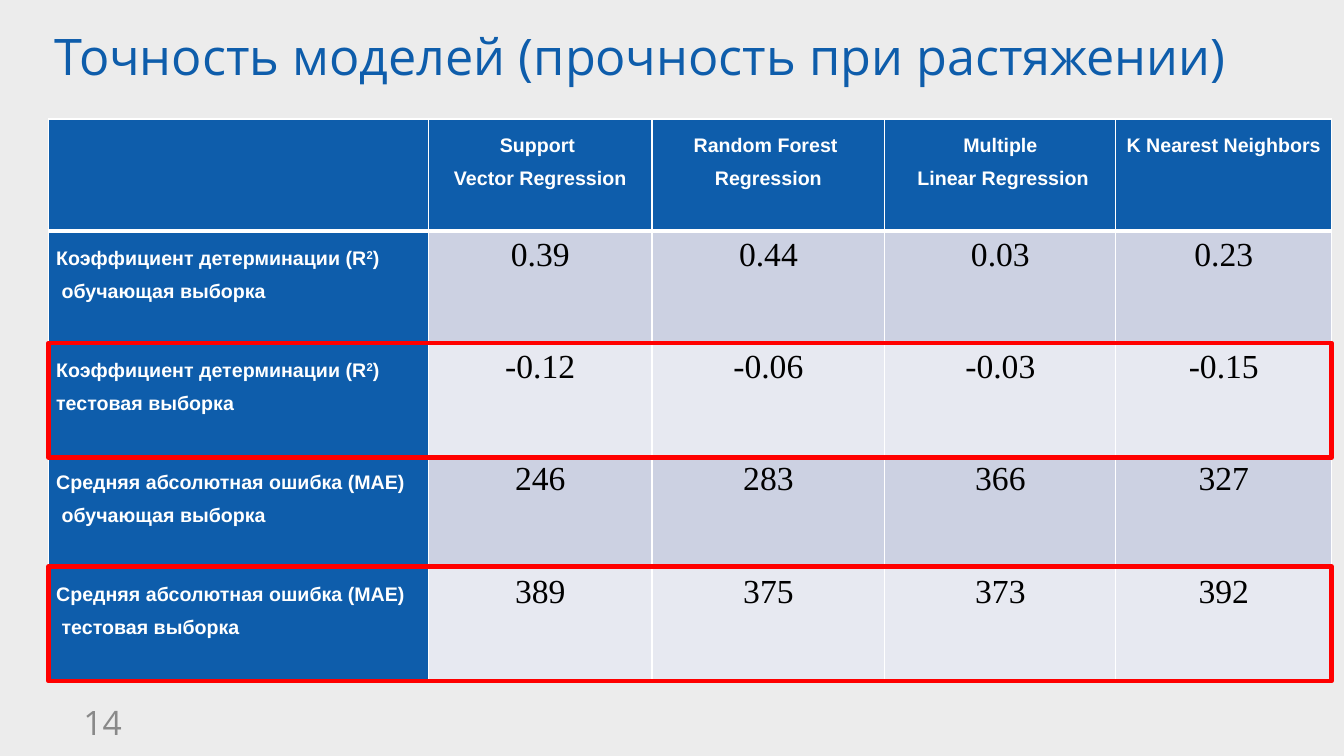
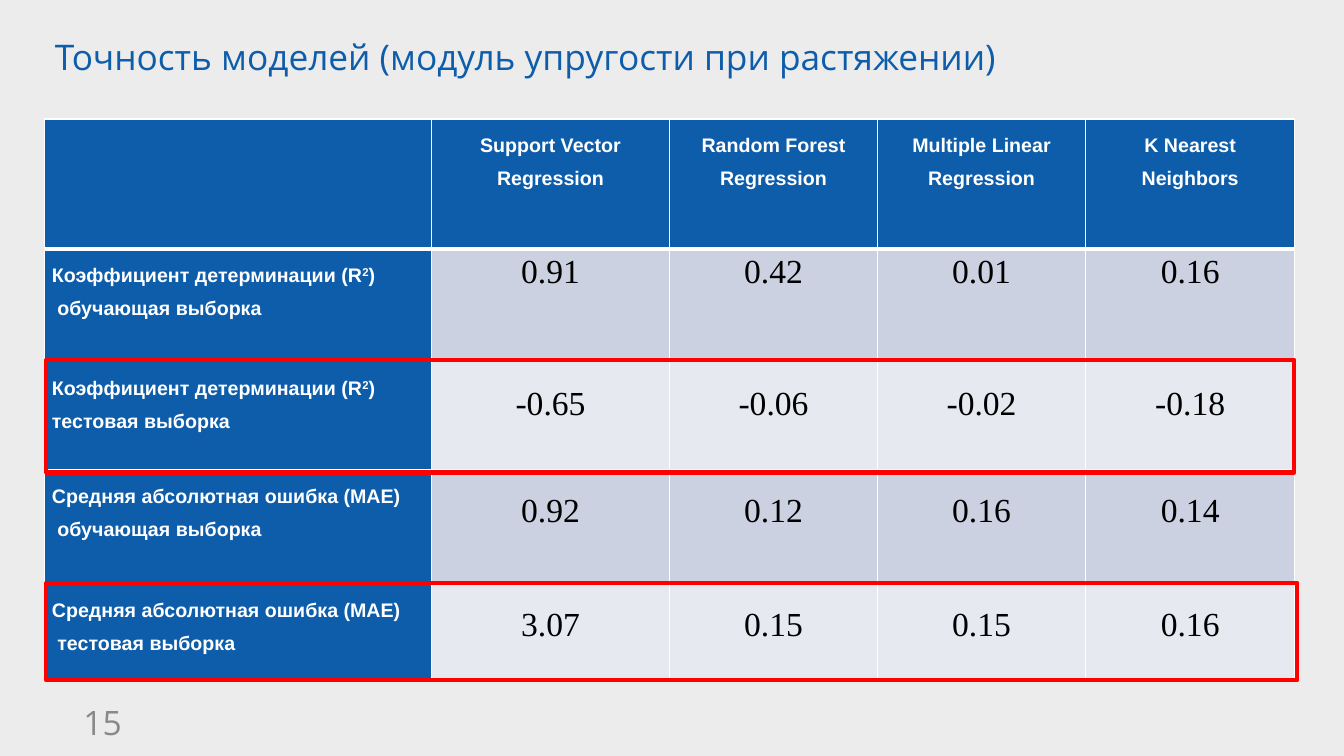
from dataclasses import dataclass

import pptx
import pptx.dml.color
import pptx.enum.shapes
import pptx.enum.text
import pptx.oxml
import pptx.oxml.ns
import pptx.slide
import pptx.table
import pptx.text.text
import pptx.util

Pt = pptx.util.Pt
Align = pptx.enum.text.PP_ALIGN
Anchor = pptx.enum.text.MSO_ANCHOR


@dataclass(frozen=True)
class Theme:
    background: str = "ECECEC"
    blue: str = "0E5DAB"
    page_grey: str = "898989"
    white: str = "FFFFFF"
    black: str = "000000"
    red: str = "FF0000"
    bands: tuple[str, str] = ("CCD1E2", "E7E9F1")
    title_font: str = "Open Sans"
    label_font: str = "Arial"
    value_font: str = "Times New Roman"
    page_size: float = 24
    label_size: float = 14
    value_size: float = 24
    thin_rule: float = 0.96
    thick_rule: float = 3


@dataclass(frozen=True)
class Box:
    left: float
    top: float
    width: float
    height: float

    def lengths(self) -> tuple[pptx.util.Length, ...]:
        return Pt(self.left), Pt(self.top), Pt(self.width), Pt(self.height)


@dataclass(frozen=True)
class TextStyle:
    font: str
    size: float
    color: str
    bold: bool = False
    align: Align = Align.LEFT
    spacing: float = 1.0


@dataclass(frozen=True)
class Metric:
    """A table row heading, with its lines and alignment."""
    lines: str
    align: Align


@dataclass(frozen=True)
class Accuracy:
    """One slide: models in columns, metrics in rows, test rows outlined."""
    title: str
    title_size: float
    page: str
    left: float
    models: tuple[str, ...]
    column_widths: tuple[float, ...]
    row_heights: tuple[float, ...]
    values: tuple[tuple[str, ...], ...]
    spaced_rows: tuple[int, ...]
    test_outlines: tuple[Box, ...]


THEME = Theme()
TITLE_BOX = Box(32, 10, 894, 65)
PAGE_BOX = Box(52.5, 501, 66, 29)
TABLE_TOP = 85
WIDE_MARGIN, NARROW_MARGIN = 5.4, 0.7
SQUARED = "R2"

METRICS = (
    Metric("Коэффициент детерминации (R2)\n обучающая выборка", Align.LEFT),
    Metric("Коэффициент детерминации (R2)\nтестовая выборка", Align.LEFT),
    Metric("Средняя абсолютная ошибка (MAE)\n обучающая выборка", Align.JUSTIFY),
    Metric("Средняя абсолютная ошибка (MAE)\n тестовая выборка", Align.JUSTIFY),
)

SLIDES = (
    Accuracy(
        title="Точность моделей (прочность при растяжении)",
        title_size=36,
        page="14",
        left=34.7,
        models=("Support \nVector Regression", "Random Forest \nRegression",
                "Multiple\n Linear Regression", "K Nearest Neighbors"),
        column_widths=(271.4, 159.6, 166.4, 165, 154.2),
        row_heights=(80.2,) * 5,
        values=(("0.39", "0.44", "0.03", "0.23"),
                ("-0.12", "-0.06", "-0.03", "-0.15"),
                ("246", "283", "366", "327"),
                ("389", "375", "373", "392")),
        spaced_rows=(),
        test_outlines=(Box(34.7, 244.8, 916.5, 82), Box(34.7, 404.6, 916.5, 82)),
    ),
    Accuracy(
        title="Точность моделей (модуль упругости при растяжении)",
        title_size=25.2,
        page="15",
        left=31.7,
        models=("Support Vector Regression", "Random Forest Regression",
                "Multiple Linear Regression", "K Nearest Neighbors"),
        column_widths=(276.4, 170.4, 148.2, 149, 149),
        row_heights=(92.7, 80.6, 77, 81.4, 69.1),
        values=(("0.91", "0.42", "0.01", "0.16"),
                ("-0.65", "-0.06", "-0.02", "-0.18"),
                ("0.92", "0.12", "0.16", "0.14"),
                ("3.07", "0.15", "0.15", "0.16")),
        spaced_rows=(2, 3, 4),
        test_outlines=(Box(33.1, 257, 891.4, 80.6), Box(33.1, 416.2, 893.5, 69.8)),
    ),
)


def rgb(color: str) -> pptx.dml.color.RGBColor:
    return pptx.dml.color.RGBColor.from_string(color)


def write(frame: pptx.text.text.TextFrame, text: str, style: TextStyle) -> None:
    frame.text = text
    for paragraph in frame.paragraphs:
        paragraph.alignment = style.align
        paragraph.line_spacing = style.spacing
        if SQUARED in paragraph.text:
            raise_square(paragraph)
        for run in paragraph.runs:
            run.font.name = style.font
            run.font.size = Pt(style.size)
            run.font.bold = style.bold
            run.font.color.rgb = rgb(style.color)


def raise_square(paragraph: pptx.text.text._Paragraph) -> None:
    """Split the line around the 2 of R2 and set that digit as superscript."""
    before, after = paragraph.text.split(SQUARED)
    paragraph.runs[0].text = before + SQUARED[0]
    exponent = paragraph.add_run()
    exponent.text = SQUARED[1]
    exponent.font._element.set("baseline", "30000")
    paragraph.add_run().text = after


def set_borders(cell: pptx.table._Cell, row: int) -> None:
    """Rule the cell in white, thicker between the header and the body."""
    widths = {"lnL": THEME.thin_rule, "lnR": THEME.thin_rule,
              "lnT": THEME.thick_rule if row == 1 else THEME.thin_rule,
              "lnB": THEME.thick_rule if row == 0 else THEME.thin_rule}
    properties = cell._tc.get_or_add_tcPr()
    for side, width in widths.items():
        properties.append(pptx.oxml.parse_xml(
            f'<a:{side} {pptx.oxml.ns.nsdecls("a")} w="{int(Pt(width))}">'
            f'<a:solidFill><a:srgbClr val="{THEME.white}"/></a:solidFill>'
            f'</a:{side}>'))


def fill_cell(cell: pptx.table._Cell, row: int, text: str, fill: str,
              margin: float, style: TextStyle) -> None:
    set_borders(cell, row)
    cell.fill.solid()
    cell.fill.fore_color.rgb = rgb(fill)
    cell.margin_left = cell.margin_right = Pt(margin)
    cell.vertical_anchor = Anchor.TOP
    write(cell.text_frame, text, style)


def heading_style(align: Align) -> TextStyle:
    return TextStyle(THEME.label_font, THEME.label_size, THEME.white, True, align, 1.5)


def add_title(slide: pptx.slide.Slide, accuracy: Accuracy) -> None:
    title = slide.shapes.title
    title.left, title.top, title.width, title.height = TITLE_BOX.lengths()
    frame = title.text_frame
    frame.auto_size = pptx.enum.text.MSO_AUTO_SIZE.NONE
    frame.vertical_anchor = Anchor.MIDDLE
    write(frame, accuracy.title, TextStyle(
        THEME.title_font, accuracy.title_size, THEME.blue, spacing=0.9))


def add_page_number(slide: pptx.slide.Slide, page: str) -> None:
    frame = slide.shapes.add_textbox(*PAGE_BOX.lengths()).text_frame
    frame.word_wrap = True
    frame.vertical_anchor = Anchor.MIDDLE
    write(frame, page, TextStyle(THEME.title_font, THEME.page_size, THEME.page_grey))


def add_accuracy_table(slide: pptx.slide.Slide, accuracy: Accuracy) -> None:
    area = Box(accuracy.left, TABLE_TOP,
               sum(accuracy.column_widths), sum(accuracy.row_heights))
    table = slide.shapes.add_table(
        len(accuracy.row_heights), len(accuracy.column_widths), *area.lengths()).table
    table.first_row = table.horz_banding = False
    for column, width in zip(table.columns, accuracy.column_widths):
        column.width = Pt(width)
    for table_row, height in zip(table.rows, accuracy.row_heights):
        table_row.height = Pt(height)

    for column, model in enumerate(("", *accuracy.models)):
        fill_cell(table.cell(0, column), 0, model, THEME.blue, WIDE_MARGIN,
                  heading_style(Align.CENTER))
    for row, (metric, scores) in enumerate(zip(METRICS, accuracy.values), start=1):
        fill_cell(table.cell(row, 0), row, metric.lines, THEME.blue, WIDE_MARGIN,
                  heading_style(metric.align))
        spaced = row in accuracy.spaced_rows
        score_style = TextStyle(THEME.value_font, THEME.value_size, THEME.black,
                                align=Align.CENTER, spacing=1.5 if spaced else 1.0)
        for column, score in enumerate(scores, start=1):
            fill_cell(table.cell(row, column), row, score, THEME.bands[(row - 1) % 2],
                      WIDE_MARGIN if spaced else NARROW_MARGIN, score_style)


def add_outline(slide: pptx.slide.Slide, box: Box) -> None:
    outline = slide.shapes.add_shape(
        pptx.enum.shapes.MSO_SHAPE.RECTANGLE, *box.lengths())
    outline.shadow.inherit = False
    outline.fill.background()
    outline.line.color.rgb = rgb(THEME.red)
    outline.line.width = Pt(THEME.thick_rule)


def main() -> None:
    deck = pptx.Presentation()
    deck.slide_width, deck.slide_height = Pt(960), Pt(540)
    backdrop = deck.slide_master.background.fill
    backdrop.solid()
    backdrop.fore_color.rgb = rgb(THEME.background)
    title_only = deck.slide_layouts.get_by_name("Title Only")
    for accuracy in SLIDES:
        slide = deck.slides.add_slide(title_only)
        add_title(slide, accuracy)
        add_page_number(slide, accuracy.page)
        add_accuracy_table(slide, accuracy)
        for box in accuracy.test_outlines:
            add_outline(slide, box)
    deck.save("out.pptx")


if __name__ == "__main__":
    main()
